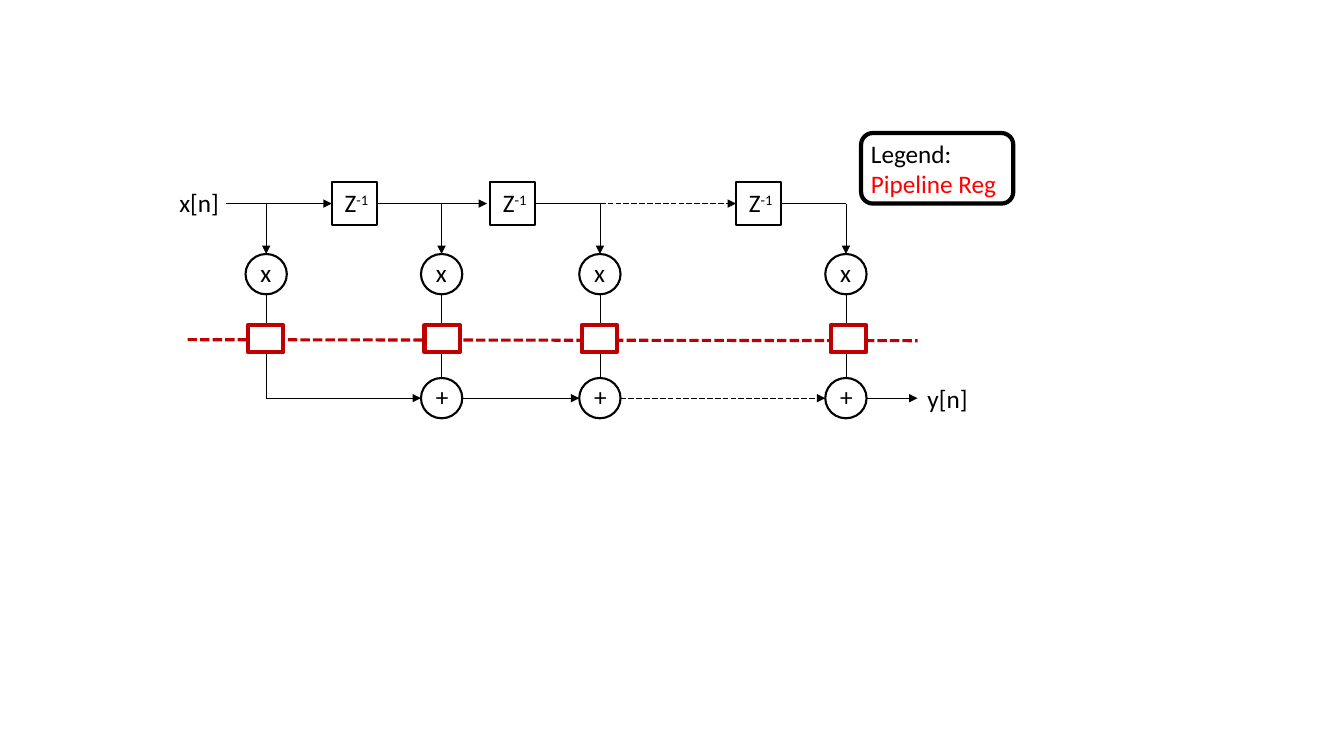
from pptx import Presentation
from pptx.dml.color import RGBColor
from pptx.enum.dml import MSO_LINE as Dash
from pptx.enum.shapes import MSO_CONNECTOR as Conn, MSO_SHAPE as Shape
from pptx.oxml.ns import qn
from pptx.util import Inches, Pt
from lxml.etree import SubElement

BLACK = RGBColor(0, 0, 0)
WHITE = RGBColor(255, 255, 255)
DARK = RGBColor(0xC0, 0, 0)
RED = RGBColor(255, 0, 0)

# Content: centre of each tap, left of its register, left of each delay
TAPS = [(2.64, 2.46), (4.38, 4.21), (5.95, 5.77), (8.39, 8.24)]
DELAYS = [3.29, 4.86, 7.3]
DELAY = [("Z", False), ("-1", True)]
PORTS = [("x[n]", 1.68, 1.81), ("y[n]", 9.1, 3.75)]
LEGEND = [("Legend:", BLACK), ("Pipeline Reg", RED)]

# Rows and sizes
IN_Y, MUL_Y, REG_Y, SUM_Y = 2.02, 2.72, 3.36, 3.95
DIAM_W, DIAM_H = 0.41, 0.4
BOX_W, BOX_H = 0.45, 0.42
REG_W, REG_H = 0.35, 0.27
END_X = 9.1

prs = Presentation()
prs.slide_width, prs.slide_height = Inches(13.33), Inches(7.5)
slide = prs.slides.add_slide(prs.slide_layouts[6])
shapes = slide.shapes


def draw(kind, x, y, w, h, color=BLACK, width=1.5, fill=WHITE):
    shape = shapes.add_shape(kind, Inches(x), Inches(y), Inches(w), Inches(h))
    shape.shadow.inherit = False
    if fill is None:
        shape.fill.background()
    else:
        shape.fill.solid()
        shape.fill.fore_color.rgb = fill
    shape.line.color.rgb = color
    shape.line.width = Pt(width)
    return shape


def wire(x1, y1, x2, y2, arrow=True, dash=None, color=BLACK, width=0.5,
         start=None, end=None):
    line = shapes.add_connector(Conn.STRAIGHT, Inches(x1), Inches(y1),
                                Inches(x2), Inches(y2))
    if start is not None:
        line.begin_connect(start, 3)
    if end is not None:
        line.end_connect(end, 1)
    line.line.color.rgb = color
    line.line.width = Pt(width)
    if dash is not None:
        line.line.dash_style = dash
    if arrow:
        tail = SubElement(line.line._get_or_add_ln(), qn("a:tailEnd"))
        tail.set("type", "triangle")
    SubElement(line._element.spPr, qn("a:effectLst"))


def style(para, color=BLACK):
    para.font.name, para.font.size = "Calibri", Pt(18)
    para.font.color.rgb = color


def label(x, y, w, h, runs):
    frame = shapes.add_textbox(Inches(x), Inches(y),
                               Inches(w), Inches(h)).text_frame
    frame.word_wrap = True
    para = frame.paragraphs[0]
    style(para)
    for text, raised in runs:
        run = para.add_run()
        run.text = text
        if raised:
            run.font._element.set("baseline", "30000")
    return frame


def node(x, y, sign):
    left, top = x - DIAM_W / 2, y - DIAM_H / 2
    draw(Shape.OVAL, left, top, DIAM_W, DIAM_H)
    label(left + 0.05, top - 0.02, DIAM_W, DIAM_H, [(sign, False)])


# Delay line along the top
boxes = []
for x in DELAYS:
    top = IN_Y - BOX_H / 2
    boxes.append(draw(Shape.RECTANGLE, x, top, BOX_W, BOX_H))
    label(x + 0.03, top, 0.57, 0.4, DELAY)
first, second, last = boxes
cols = [x for x, _ in TAPS]
wire(2.24, IN_Y, DELAYS[0], IN_Y, end=first)
wire(DELAYS[0] + BOX_W, IN_Y, 4.83, IN_Y, start=first)
wire(DELAYS[1] + BOX_W, IN_Y, cols[2], IN_Y, arrow=False, start=second)
wire(cols[2], IN_Y, DELAYS[2], IN_Y, dash=Dash.LONG_DASH, end=last)
wire(DELAYS[2] + BOX_W, IN_Y, cols[3], IN_Y, arrow=False, start=last)

# Taps: multiplier above, adder below all but the first
for i, x in enumerate(cols):
    wire(x, IN_Y, x, MUL_Y - DIAM_H / 2)
    foot = SUM_Y - DIAM_H / 2 if i else SUM_Y
    wire(x, MUL_Y + DIAM_H / 2, x, foot, arrow=False)
    node(x, MUL_Y, "x")
    if i:
        node(x, SUM_Y, "+")

# Sum chain along the bottom
half = DIAM_W / 2
starts = [cols[0]] + [x + half for x in cols[1:]]
ends = [x - half for x in cols[1:]] + [END_X]
dashes = [None, None, Dash.LONG_DASH, None]
for x1, x2, dash in zip(starts, ends, dashes):
    wire(x1, SUM_Y, x2, SUM_Y, dash=dash)

# Pipeline cut and its registers
wire(1.86, 3.37, END_X, 3.38, arrow=False, dash=Dash.SQUARE_DOT,
     color=DARK, width=2.25)
for _, left in TAPS:
    draw(Shape.RECTANGLE, left, REG_Y - REG_H / 2, REG_W, REG_H, DARK, 3)

# Ports and legend
for text, x, y in PORTS:
    label(x, y, 0.72, 0.4, [(text, False)])
(head, tint), (name, red) = LEGEND
frame = label(8.54, 1.32, 1.47, 0.71, [(head, False)])
para = frame.add_paragraph()
para.text = name
style(para, red)
draw(Shape.ROUNDED_RECTANGLE, 8.54, 1.32, 1.51, 0.7, width=3, fill=None)

prs.save("out.pptx")
